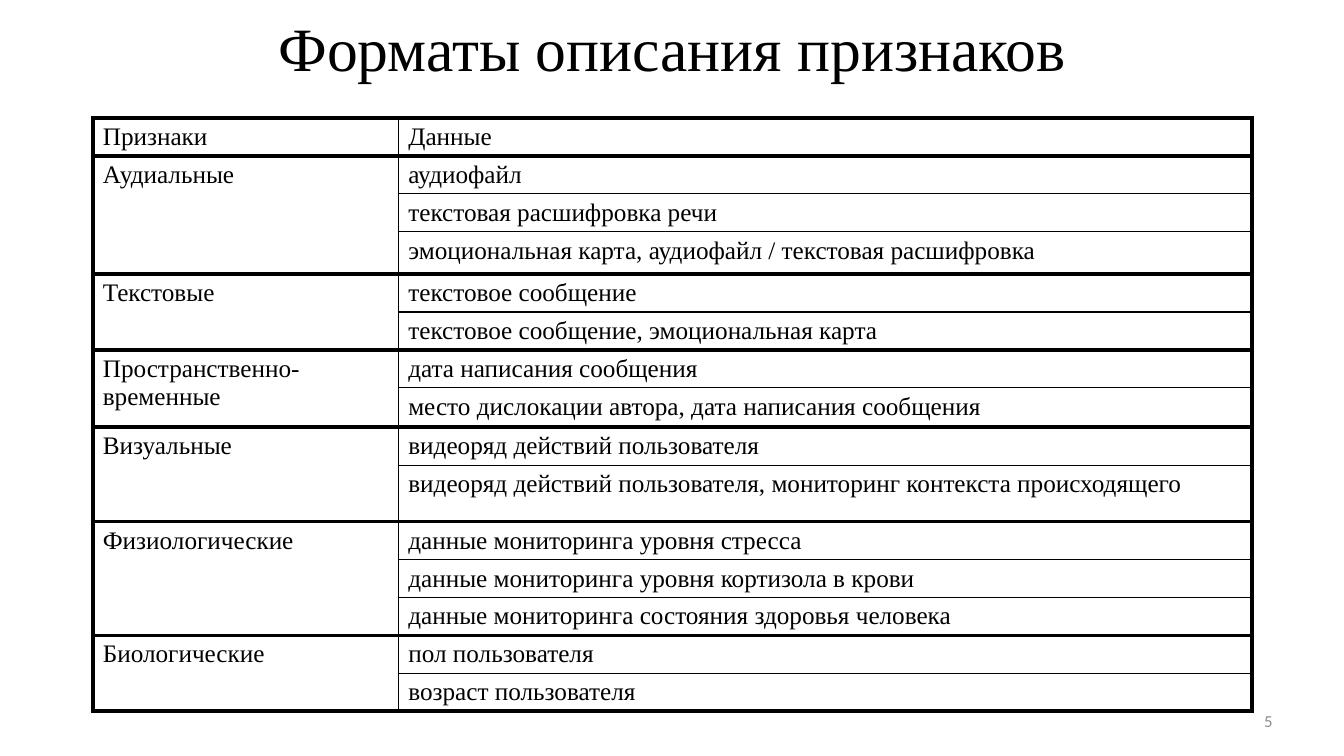
from lxml import etree
from pptx import Presentation
from pptx.dml.color import RGBColor
from pptx.enum.text import MSO_ANCHOR, PP_ALIGN
from pptx.oxml.ns import qn
from pptx.util import Inches, Pt

MIDDLE = MSO_ANCHOR.MIDDLE
CENTER, RIGHT = PP_ALIGN.CENTER, PP_ALIGN.RIGHT
TITLE_ONLY = 5
SERIF = "Times New Roman"
BLACK, GREY = "000000", "8C8C8C"
THICK, THIN = 3, 1

HEADER = ("Признаки", "Данные")
GROUPS = [
    ("Аудиальные", [
        "аудиофайл",
        "текстовая расшифровка речи",
        "эмоциональная карта, аудиофайл / текстовая расшифровка",
    ]),
    ("Текстовые", [
        "текстовое сообщение",
        "текстовое сообщение, эмоциональная карта",
    ]),
    ("Пространственно-временные", [
        "дата написания сообщения",
        "место дислокации автора, дата написания сообщения",
    ]),
    ("Визуальные", [
        "видеоряд действий пользователя",
        "видеоряд действий пользователя, мониторинг контекста происходящего",
    ]),
    ("Физиологические", [
        "данные мониторинга уровня стресса",
        "данные мониторинга уровня кортизола в крови",
        "данные мониторинга состояния здоровья человека",
    ]),
    ("Биологические", [
        "пол пользователя",
        "возраст пользователя",
    ]),
]
COLUMN_WIDTHS = (3.03, 8.47)
TABLE_HEIGHT = 5.89
TALL_ROWS = {3: 0.42, 7: 0.39, 9: 0.56}


def rgb(color):
    return RGBColor.from_string(color)


def write(tf, text, size, font=SERIF, color=BLACK, align=None):
    tf.text = text
    p = tf.paragraphs[0]
    p.alignment = align
    r = p.runs[0]
    r.font.size = Pt(size)
    r.font.name = font
    r.font.color.rgb = rgb(color)


def place(sp, left, top, width, height):
    sp.left, sp.top = Inches(left), Inches(top)
    sp.width, sp.height = Inches(width), Inches(height)


def set_borders(cell, left, right, top, bottom):
    tc_pr = cell._tc.get_or_add_tcPr()
    sides = (("a:lnL", left), ("a:lnR", right), ("a:lnT", top), ("a:lnB", bottom))
    for index, (tag, width) in enumerate(sides):
        ln = etree.Element(qn(tag), w=str(Pt(width)))
        tc_pr.insert(index, ln)
        if width:
            fill = etree.SubElement(ln, qn("a:solidFill"))
            etree.SubElement(fill, qn("a:srgbClr"), val=BLACK)
        else:
            etree.SubElement(ln, qn("a:noFill"))


def add_title(s, text):
    sp = s.shapes.title
    place(sp, 0.92, -0.08, 11.5, 1.19)
    tf = sp.text_frame
    tf.vertical_anchor = MIDDLE
    write(tf, text, 44, align=CENTER)
    tf.paragraphs[0].line_spacing = 0.9


def add_page_number(s, text):
    sp = s.shapes.add_textbox(Inches(9.72), Inches(6.95), Inches(3), Inches(0.4))
    tf = sp.text_frame
    tf.word_wrap = True
    tf.vertical_anchor = MIDDLE
    write(tf, text, 12, "Calibri", GREY, RIGHT)


def add_group(table, first, name, items):
    last = first + len(items) - 1
    for row, item in enumerate(items, first):
        label, data = table.cell(row, 0), table.cell(row, 1)
        top = THICK if row == first else THIN
        bottom = THICK if row == last else THIN
        set_borders(data, THIN, THICK, top, bottom)
        set_borders(label, THICK, THIN, THICK if row == first else 0,
                    THICK if row in (first, last) else 0)
        write(data.text_frame, item, 18)
    label = table.cell(first, 0)
    if last > first:
        label.merge(table.cell(last, 0))
    write(label.text_frame, name, 18)
    return last + 1


def add_features_table(s):
    groups = [(HEADER[0], [HEADER[1]])] + GROUPS
    count = sum(len(items) for _, items in groups)
    table = s.shapes.add_table(count, 2, Inches(0.92), Inches(1.17),
                               Inches(11.5), Inches(TABLE_HEIGHT)).table
    table.first_row = False
    table.horz_banding = False
    for column, width in zip(table.columns, COLUMN_WIDTHS):
        column.width = Inches(width)
    even_height = (TABLE_HEIGHT - sum(TALL_ROWS.values())) / (count - len(TALL_ROWS))
    for index, row in enumerate(table.rows):
        row.height = Inches(TALL_ROWS.get(index, even_height))
    for cell in table.iter_cells():
        cell.fill.background()
        cell.margin_bottom = Inches(0.01)
    first = 0
    for name, items in groups:
        first = add_group(table, first, name, items)
    for cell in table.iter_cells():
        if cell.is_spanned:
            cell.text_frame.paragraphs[0].font.size = Pt(18)


def main():
    prs = Presentation()
    prs.slide_width, prs.slide_height = Inches(13.33), Inches(7.5)
    s = prs.slides.add_slide(prs.slide_layouts[TITLE_ONLY])
    add_title(s, "Форматы описания признаков")
    add_page_number(s, "5")
    add_features_table(s)
    prs.save("out.pptx")


if __name__ == "__main__":
    main()
